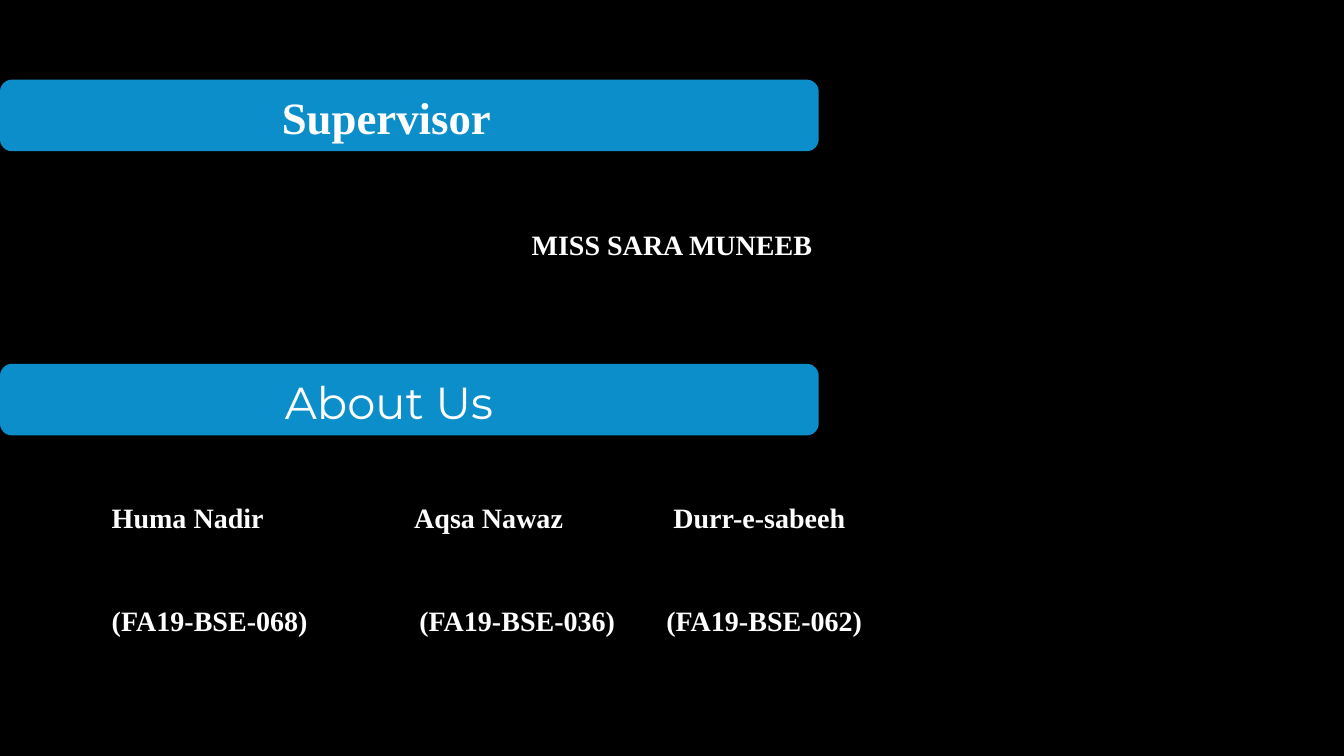
from pptx import Presentation
from pptx.util import Inches, Pt
from pptx.dml.color import RGBColor
from pptx.enum.shapes import MSO_SHAPE
from pptx.enum.text import PP_ALIGN, MSO_ANCHOR
from lxml.etree import SubElement
from pptx.oxml.ns import qn

WIDE, HIGH = 13.33, 7.5
HUES = {"back": "000000", "bar": "0C8ECA", "text": "FFFFFF"}
SERIF, SANS = "Times New Roman", "Montserrat"
BARS = [
    ("Supervisor", SERIF, True, 0.79, 2.76),
    ("About Us", SANS, False, 3.61, 2.79),
]
BAR_W, BAR_H = 8.12, 0.71
GUIDE = "MISS SARA MUNEEB"
TEAM = [
    (("Huma Nadir", "Aqsa Nawaz", "Durr-e-sabeeh"), (3, 5.57)),
    (("(FA19-BSE-068)", "(FA19-BSE-036)", "(FA19-BSE-062)"), (3.05, 5.5)),
]


def tint(name):
    return RGBColor.from_string(HUES[name])


def write(para, text, face, size, bold):
    run = para.add_run()
    run.text = text
    font = run.font
    font.name, font.size, font.bold = face, Pt(size), bold
    font.color.rgb = tint("text")


def add_box(slide, *place):
    frame = slide.shapes.add_textbox(*map(Inches, place)).text_frame
    frame.word_wrap = True
    return frame


def add_bar(slide, text, face, bold, top, left):
    bar = slide.shapes.add_shape(
        MSO_SHAPE.ROUNDED_RECTANGLE, 0, Inches(top), Inches(BAR_W), Inches(BAR_H))
    bar.shadow.inherit = False
    bar.fill.solid()
    bar.fill.fore_color.rgb = tint("bar")
    bar.line.fill.background()
    frame = bar.text_frame
    frame.margin_left = Inches(left)
    frame.margin_top = Inches(0.08)
    frame.vertical_anchor = MSO_ANCHOR.MIDDLE
    para = frame.paragraphs[0]
    para.alignment = PP_ALIGN.LEFT
    write(para, text, face, 32, bold)


def add_tabs(para, stops):
    tabs = SubElement(para._p.get_or_add_pPr(), qn("a:tabLst"))
    for stop in stops:
        SubElement(tabs, qn("a:tab"), pos=str(Inches(stop)), algn="l")


def main():
    deck = Presentation()
    deck.slide_width, deck.slide_height = Inches(WIDE), Inches(HIGH)
    slide = deck.slides.add_slide(deck.slide_layouts[6])
    slide.background.fill.solid()
    slide.background.fill.fore_color.rgb = tint("back")

    frame = add_box(slide, WIDE / 8, 1.8, WIDE * 3 / 4, 1.81)
    frame.margin_top = Inches(0.46)
    frame.paragraphs[0].alignment = PP_ALIGN.CENTER
    write(frame.paragraphs[0], GUIDE, SERIF, 20, True)

    for bar in BARS:
        add_bar(slide, *bar)

    frame = add_box(slide, 1.01, 4.92, 11.71, 1.45)
    for row, (cells, stops) in enumerate(TEAM):
        para = frame.add_paragraph() if row else frame.paragraphs[0]
        para.space_before = Pt(49 * row)
        add_tabs(para, stops)
        write(para, "\t".join(cells), SERIF, 20, True)

    deck.save("out.pptx")


if __name__ == "__main__":
    main()
